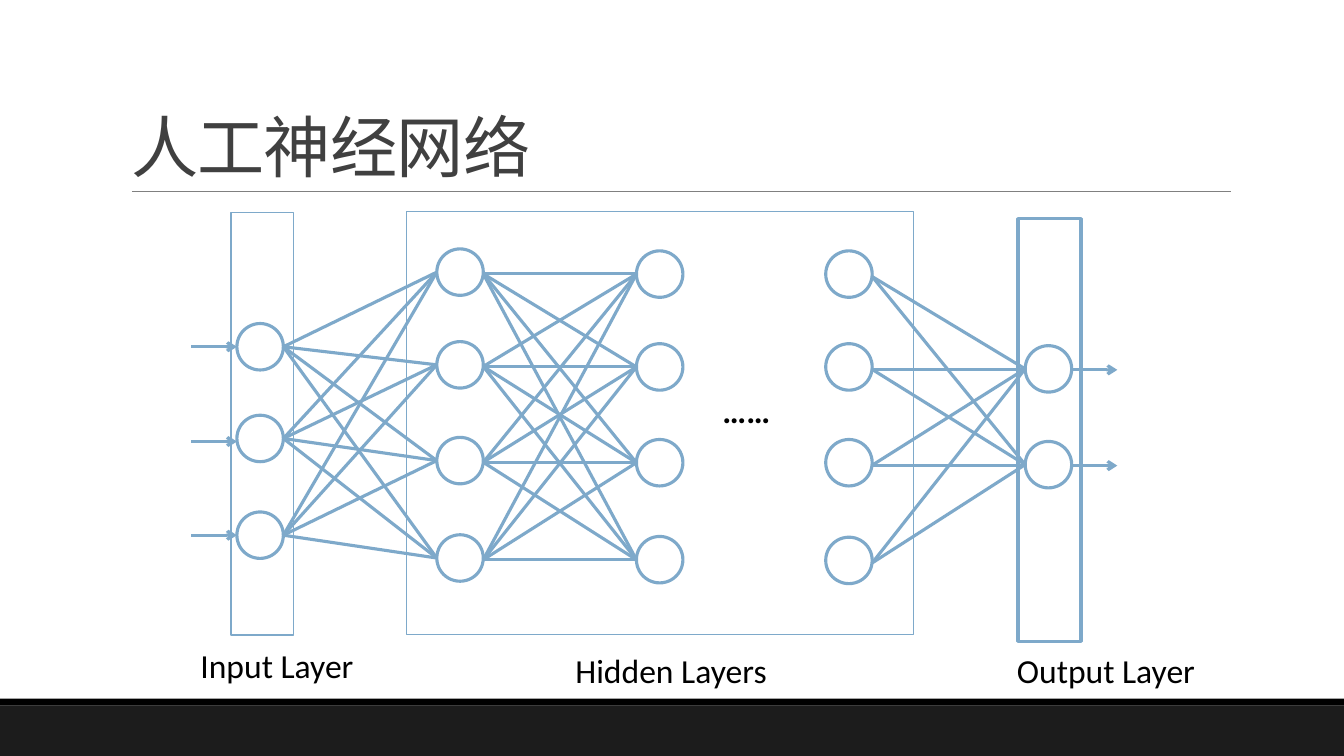
from itertools import product

from lxml import etree
from pptx import Presentation
from pptx.dml import color
from pptx.enum import shapes, text
from pptx.oxml import ns
from pptx.util import Pt

COLORS = {
    "net": "7EA9CA",
    "white": "FFFFFF",
    "title": "404040",
    "black": "000000",
    "rule": "808080",
    "footer": "1C1C1C",
}
NODE = 33.2  # diameter of a neuron
STROKE = 2.25
ARROW = 32.6

# Left edge and neuron centre heights of each layer
LAYERS = {
    "input": (169.2, (247.7, 313.2, 382.3)),
    "first": (312, (194.4, 260.6, 329, 398.6)),
    "second": (454.6, (195.8, 262.1, 330.5, 399.8)),
    "last": (589.8, (195.8, 262.1, 330.5, 400.3)),
    "output": (732.3, (263.5, 331.9)),
}
# Connected layers, and how far below the centre the links start
LINKS = (("input", "first", 0), ("first", "second", 1.2), ("last", "output", 1.8))
# Left, top, width, height and line width of the layer frames
FRAMES = (
    (164.9, 151.6, 45, 302, 1),
    (290.2, 151.2, 362.4, 302, 1),
    (727.2, 156.2, 45, 302, STROKE),
)
LABELS = (
    ("……", 509, 275, 49, True),
    ("Hidden Layers", 403.9, 460.8, 152.6, False),
    ("Output Layer", 719.3, 460.8, 143.3, False),
    ("Input Layer", 136.1, 457.2, 125.3, False),
)


def rgb(name):
    return color.RGBColor.from_string(COLORS[name])


def apply(target, values):
    for name, value in values.items():
        setattr(target, name, value)


def add_outline(slide, kind, box, fill=None, line=None, width=STROKE):
    shape = slide.shapes.add_shape(kind, *map(Pt, box))
    shape.shadow.inherit = False
    if fill:
        shape.fill.solid()
        shape.fill.fore_color.rgb = rgb(fill)
    else:
        shape.fill.background()
    if line:
        shape.line.color.rgb = rgb(line)
        shape.line.width = Pt(width)
    else:
        shape.line.fill.background()


def add_line(slide, start, end, name="net", width=STROKE, arrow=False):
    line = slide.shapes.add_connector(
        shapes.MSO_CONNECTOR.STRAIGHT, *map(Pt, (*start, *end))
    )
    line.line.color.rgb = rgb(name)
    line.line.width = Pt(width)
    if arrow:
        etree.SubElement(line.line._get_or_add_ln(), ns.qn("a:tailEnd"), type="arrow")
    etree.SubElement(line._element.spPr, ns.qn("a:effectLst"))


def add_label(slide, words, left, top, width, bold):
    label = slide.shapes.add_textbox(*map(Pt, (left, top, width, 36)))
    apply(label.text_frame, {
        "word_wrap": False,
        "auto_size": text.MSO_AUTO_SIZE.SHAPE_TO_FIT_TEXT,
    })
    run = label.text_frame.paragraphs[0].add_run()
    run.text = words
    apply(run.font, {"name": "Calibri", "size": Pt(24), "bold": bold})
    run.font.color.rgb = rgb("black")


def add_title(slide, words):
    title = slide.shapes.title
    apply(title, {"left": Pt(86.4), "top": Pt(22.5), "width": Pt(792), "height": Pt(114.3)})
    apply(title.text_frame, {
        "vertical_anchor": text.MSO_ANCHOR.BOTTOM,
        "auto_size": text.MSO_AUTO_SIZE.NONE,
        "word_wrap": True,
    })
    paragraph = title.text_frame.paragraphs[0]
    apply(paragraph, {"alignment": text.PP_ALIGN.LEFT, "line_spacing": 0.85})
    run = paragraph.add_run()
    run.text = words
    apply(run.font, {"name": "Calibri", "size": Pt(48)})
    run.font.color.rgb = rgb("title")
    run.font._element.set("spc", "-50")


def add_neurons(slide, layer):
    left, centres = LAYERS[layer]
    for centre in centres:
        box = (left, centre - NODE / 2, NODE, NODE)
        add_outline(slide, shapes.MSO_SHAPE.OVAL, box, "white", "net")


def add_links(slide, source, target, drop):
    source_left, starts = LAYERS[source]
    target_left, ends = LAYERS[target]
    for start, end in product(starts, ends):
        start += drop
        if abs(end - start) < 3:  # neurons in the same row: level link
            end = start
        add_line(slide, (source_left + NODE, start), (target_left, end))


def main():
    deck = Presentation()
    apply(deck, {"slide_width": Pt(960), "slide_height": Pt(540)})
    slide = deck.slides.add_slide(deck.slide_layouts[5])

    # Footer bands, title and its rule
    rectangle = shapes.MSO_SHAPE.RECTANGLE
    add_outline(slide, rectangle, (0, 504, 960, 36), "footer")
    add_outline(slide, rectangle, (0, 499, 960, 5), "black")
    add_line(slide, (94.3, 136.8), (879, 136.8), "rule", 0.5)
    add_title(slide, "人工神经网络")

    # Neurons and the links between layers
    for layer in LAYERS:
        add_neurons(slide, layer)
    for link in LINKS:
        add_links(slide, *link)

    # Layer frames
    for *box, width in FRAMES:
        add_outline(slide, rectangle, box, line="net", width=width)

    # Arrows into the input layer and out of the output layer
    input_left = LAYERS["input"][0]
    for y in (247.7, 315.4, 382.3):
        add_line(slide, (input_left - ARROW, y), (input_left, y), arrow=True)
    output_right = LAYERS["output"][0] + NODE
    for y in (264.2, 332.6):
        add_line(slide, (output_right, y), (output_right + ARROW, y), arrow=True)

    # Captions
    for label in LABELS:
        add_label(slide, *label)

    deck.save("out.pptx")


if __name__ == "__main__":
    main()
